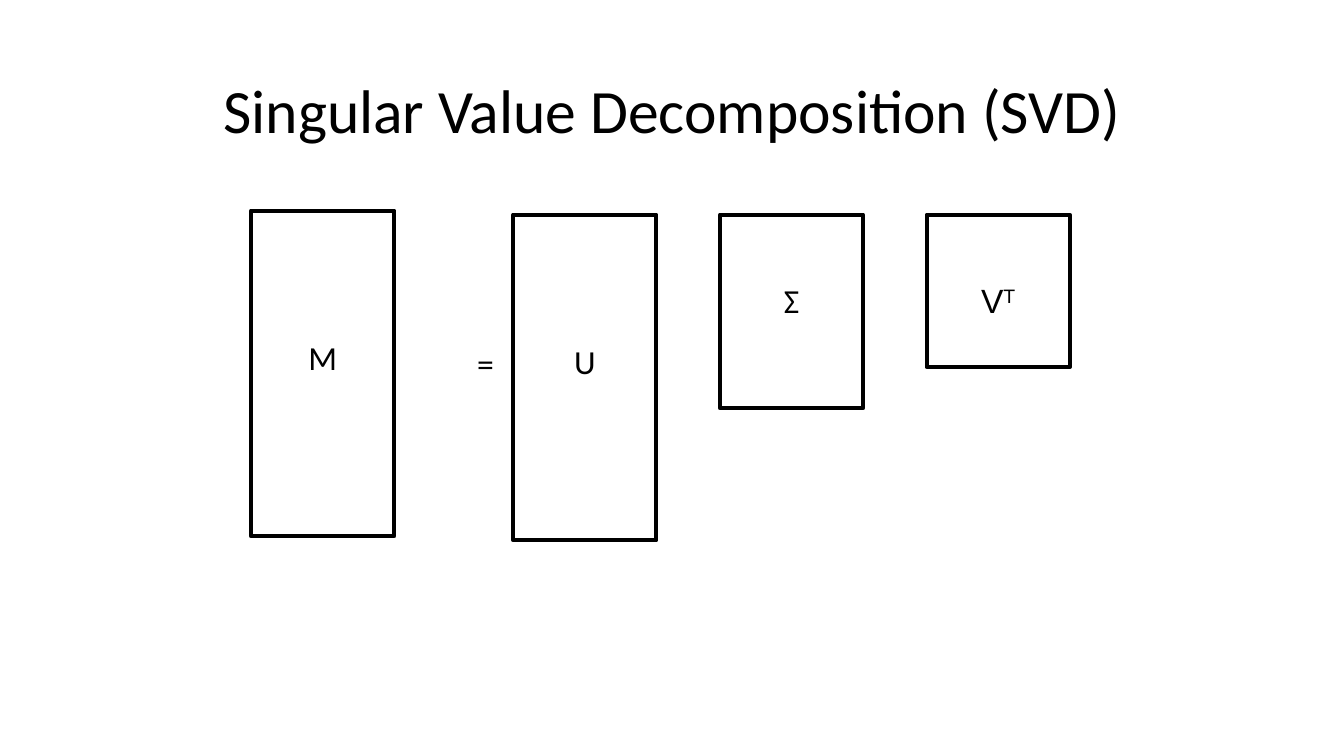
"""Builds a slide showing the singular value decomposition as matrix boxes."""
from lxml.etree import SubElement
from pptx import Presentation
from pptx.dml.color import RGBColor
from pptx.enum.shapes import MSO_SHAPE
from pptx.enum.text import MSO_ANCHOR, PP_ALIGN
from pptx.oxml.ns import qn
from pptx.util import Inches, Pt

TITLE = "Singular Value Decomposition (SVD)"
COLORS = {"ink": "000000"}
MATRIX_WIDTH = 1.42
FACTOR_LEFT, FACTOR_STEP = 5.09, 2.05
TALL_INSET, SHORT_INSET = 1.25, 0.65
PRODUCT = ("M", "", 2.09, 3.23, TALL_INSET, "Calibri")
FACTORS = [
    ("U", "", 2.13, 3.23, TALL_INSET, "Calibri"),
    ("Σ", "", 2.13, 1.92, SHORT_INSET, "Calibri"),
    ("V", "T", 2.13, 1.51, SHORT_INSET, "Arial"),
]


def format_text(frame, size, font="Calibri"):
    paragraph = frame.paragraphs[0]
    paragraph.alignment = PP_ALIGN.CENTER
    for span in paragraph.runs:
        span.font.size = Pt(size)
        span.font.name = font
        span.font.color.rgb = RGBColor.from_string(COLORS["ink"])


def add_matrix(page, left, matrix):
    label, superscript, top, height, inset, font = matrix
    box = page.shapes.add_shape(
        MSO_SHAPE.RECTANGLE, Inches(left), Inches(top), Inches(MATRIX_WIDTH), Inches(height)
    )
    box.shadow.inherit = False
    box.fill.background()
    box.line.color.rgb = RGBColor.from_string(COLORS["ink"])
    box.line.width = Pt(3)
    SubElement(box._element.spPr.find(qn("a:ln")), qn("a:round"))
    frame = box.text_frame
    frame.vertical_anchor = MSO_ANCHOR.TOP
    frame.margin_top = Inches(inset)
    frame.text = label
    if superscript:
        span = frame.paragraphs[0].add_run()
        span.text = superscript
        span._r.get_or_add_rPr().set("baseline", "30000")
    format_text(frame, 24, font)


def main():
    deck = Presentation()
    deck.slide_width, deck.slide_height = Inches(13.33), Inches(7.5)
    page = deck.slides.add_slide(deck.slide_layouts[5])

    title = page.shapes.title
    title.left, title.top = Inches(0.92), Inches(0.4)
    title.width, title.height = Inches(11.5), Inches(1.45)
    title.text_frame.text = TITLE
    title.text_frame.vertical_anchor = MSO_ANCHOR.MIDDLE
    title.text_frame.paragraphs[0].line_spacing = 0.9
    format_text(title.text_frame, 44)

    add_matrix(page, 2.49, PRODUCT)
    equals = page.shapes.add_textbox(Inches(4.54), Inches(3.35), Inches(0.55), Inches(0.5))
    equals.text_frame.word_wrap = True
    equals.text_frame.text = "="
    format_text(equals.text_frame, 24)
    for index, factor in enumerate(FACTORS):
        add_matrix(page, FACTOR_LEFT + index * FACTOR_STEP, factor)

    deck.save("out.pptx")


if __name__ == "__main__":
    main()
